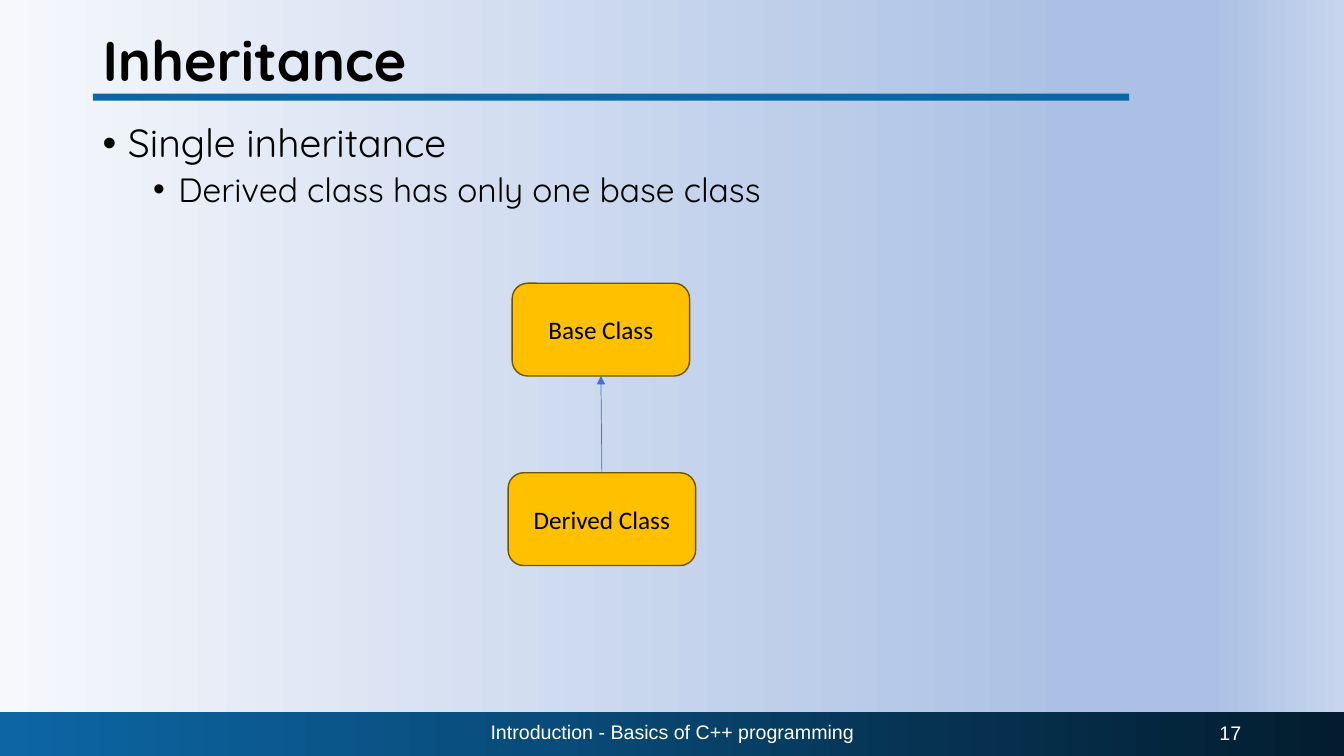
from pptx import Presentation
from pptx.dml.color import RGBColor
from pptx.enum.shapes import MSO_CONNECTOR, MSO_SHAPE
from pptx.enum.text import MSO_ANCHOR, PP_ALIGN
from pptx.oxml.ns import qn
from pptx.util import Inches, Pt
from lxml.etree import SubElement

BLACK = RGBColor(0x00, 0x00, 0x00)
WHITE = RGBColor(0xFF, 0xFF, 0xFF)
RULE_BLUE = RGBColor(0x0C, 0x66, 0xA4)
BOX_GOLD = RGBColor(0xFF, 0xC0, 0x00)
BOX_EDGE = RGBColor(0x70, 0x54, 0x00)
ARROW_BLUE = RGBColor(0x44, 0x72, 0xC4)
BACKDROP = [(0, RGBColor(0xF6, 0xF8, 0xFC)), (80, RGBColor(0xAB, 0xC0, 0xE4)),
            (90, RGBColor(0xAB, 0xC0, 0xE4)), (100, RGBColor(0xC7, 0xD5, 0xED))]
FOOTER_BLUES = [(0, RULE_BLUE), (40, RGBColor(0x09, 0x4C, 0x7B)),
                (69, RGBColor(0x06, 0x33, 0x52)), (100, RGBColor(0x03, 0x1D, 0x2F))]


def fill_gradient(fill, owner, stops):
    """Fill from left to right with any number of (percent, colour) stops."""
    fill.gradient()
    fill.gradient_angle = 0
    stop_list = next(owner.iter(qn("a:gsLst")))
    for old_stop in list(stop_list):
        stop_list.remove(old_stop)
    for percent, colour in stops:
        stop = SubElement(stop_list, qn("a:gs"), pos=str(percent * 1000))
        SubElement(stop, qn("a:srgbClr"), val=str(colour))


def add_run(paragraph, text, font, size, colour, bold=False):
    run = paragraph.add_run()
    run.text = text
    run.font.name = font
    run.font.size = Pt(size)
    run.font.color.rgb = colour
    run.font.bold = bold


prs = Presentation()
prs.slide_width, prs.slide_height = Inches(13.33), Inches(7.5)
slide = prs.slides.add_slide(prs.slide_layouts[6])
shapes = slide.shapes

# Background, footer band and title rule
fill_gradient(slide.background.fill, slide.element, BACKDROP)
footer_band = shapes.add_shape(MSO_SHAPE.RECTANGLE, 0, Inches(7.06), Inches(13.33), Inches(0.44))
fill_gradient(footer_band.fill, footer_band.element, FOOTER_BLUES)
title_rule = shapes.add_shape(MSO_SHAPE.RECTANGLE, Inches(0.92), Inches(0.93),
                              Inches(10.28), Inches(0.07))
title_rule.fill.solid()
title_rule.fill.fore_color.rgb = RULE_BLUE
for band in (footer_band, title_rule):
    band.line.fill.background()
    band.shadow.inherit = False

# Title
title = shapes.add_textbox(Inches(0.92), Inches(0.12), Inches(11.5), Inches(1.01)).text_frame
title.word_wrap = True
title.vertical_anchor = MSO_ANCHOR.MIDDLE
title.paragraphs[0].line_spacing = 0.9
add_run(title.paragraphs[0], "Inheritance", "Quicksand", 40, BLACK, bold=True)

# Bulleted points
points = shapes.add_textbox(Inches(0.92), Inches(1.18), Inches(11.5), Inches(5.64)).text_frame
points.word_wrap = True
for level, (text, size, space_before) in enumerate([
        ("Single inheritance", 28, 10),
        ("Derived class has only one base class", 24, 5)]):
    point = points.add_paragraph() if level else points.paragraphs[0]
    point.level = level
    point.line_spacing = 0.9
    point.space_before = Pt(space_before)
    add_run(point, text, "Quicksand", size, BLACK)
    properties = point._p.get_or_add_pPr()
    properties.set("marL", str(Inches(0.25 + 0.5 * level)))
    properties.set("indent", str(Inches(-0.25)))
    SubElement(properties, qn("a:buFont"), typeface="Arial")
    SubElement(properties, qn("a:buChar"), char="•")

# Footer text and slide number
for text, left, top, width, align in [
        ("Introduction - Basics of C++ programming", 4.42, 7.06, 4.5, PP_ALIGN.CENTER),
        ("17", 9.41, 7.07, 3, PP_ALIGN.RIGHT)]:
    footer = shapes.add_textbox(Inches(left), Inches(top), Inches(width), Inches(0.4)).text_frame
    footer.word_wrap = True
    footer.vertical_anchor = MSO_ANCHOR.MIDDLE
    footer.paragraphs[0].alignment = align
    add_run(footer.paragraphs[0], text, "Arial", 14, WHITE)

# Class boxes
class_boxes = []
for text, left, top, width in [("Base Class", 5.08, 2.81, 1.76),
                               ("Derived Class", 5.04, 4.69, 1.86)]:
    box = shapes.add_shape(MSO_SHAPE.ROUNDED_RECTANGLE, Inches(left), Inches(top),
                           Inches(width), Inches(0.92))
    box.shadow.inherit = False
    box.fill.solid()
    box.fill.fore_color.rgb = BOX_GOLD
    box.line.color.rgb = BOX_EDGE
    box.line.width = Pt(1)
    box.text_frame.vertical_anchor = MSO_ANCHOR.MIDDLE
    box.text_frame.paragraphs[0].alignment = PP_ALIGN.CENTER
    add_run(box.text_frame.paragraphs[0], text, "Calibri", 18, BLACK)
    class_boxes.append(box)
base_class, derived_class = class_boxes

# Arrow from the derived class up to its base class
arrow = shapes.add_connector(MSO_CONNECTOR.STRAIGHT, Inches(5.96), Inches(4.69),
                             Inches(5.96), Inches(3.75))
arrow.begin_connect(derived_class, 0)
arrow.end_connect(base_class, 2)
arrow.line.color.rgb = ARROW_BLUE
arrow.line.width = Pt(0.5)
SubElement(arrow.line._get_or_add_ln(), qn("a:tailEnd"), type="triangle")
SubElement(arrow.element.spPr, qn("a:effectLst"))

prs.save("out.pptx")
